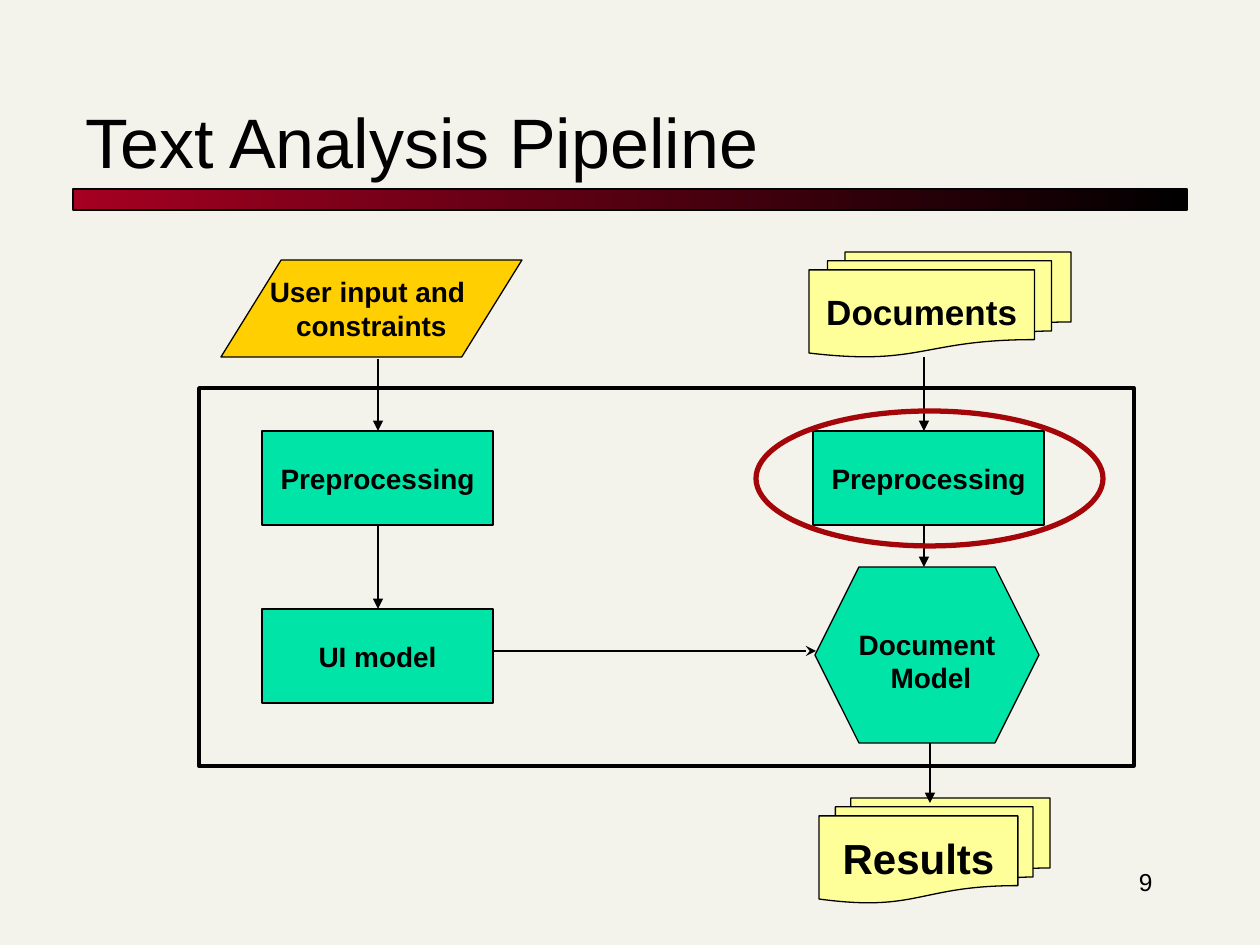
from lxml import etree
from pptx import Presentation
from pptx import util as u
from pptx.dml.color import RGBColor
from pptx.enum import shapes, text
from pptx.oxml.ns import qn

PX = u.Inches(1) / 126
BLACK, GREEN, YELLOW, GOLD, RED = "000000", "00E4A8", "FFFF99", "FFCF01", "A40508"
KIND = shapes.MSO_SHAPE
TOP, MIDDLE, BOTTOM = text.MSO_ANCHOR.TOP, text.MSO_ANCHOR.MIDDLE, text.MSO_ANCHOR.BOTTOM
LEFT, CENTER, RIGHT = text.PP_ALIGN.LEFT, text.PP_ALIGN.CENTER, text.PP_ALIGN.RIGHT

BAR = (73, 189, 1114, 21)
BAR_STOPS = ("A50021", BLACK)
STEP = (231, 94)
LEFT_COLUMN, RIGHT_COLUMN = 262, 813

# kind, (left, top, width, height), fill, lines of text, text size
STAGES = [
    (KIND.FLOWCHART_MULTIDOCUMENT, (809, 252, 262, 105), YELLOW, ["Documents"], 20),
    (KIND.FLOWCHART_DATA, (221, 260, 301, 97), GOLD, ["User input and ", "constraints"], 16),
    (KIND.FLOWCHART_MULTIDOCUMENT, (819, 798, 231, 105), YELLOW, ["Results"], 24),
    (KIND.RECTANGLE, (LEFT_COLUMN, 431, *STEP), GREEN, ["Preprocessing"], 16),
    (KIND.RECTANGLE, (RIGHT_COLUMN, 431, *STEP), GREEN, ["Preprocessing"], 16),
    (KIND.RECTANGLE, (LEFT_COLUMN, 609, *STEP), GREEN, ["UI model"], 16),
]

# start, end, arrowhead
ARROWS = [
    ((378, 525), (378, 609), "triangle"),
    ((924, 525), (924, 567), "triangle"),
    ((378, 359), (378, 431), "triangle"),
    ((924, 357), (924, 431), "triangle"),
    ((494, 651), (816, 651), "stealth"),
    ((930, 703), (930, 803), "triangle"),
]

FRAME = (199, 388, 935, 378)
HEXAGON = (815, 567, 224, 176)
HIGHLIGHT = (756, 411, 347, 135)

# (left, top, width, height), lines of text, size, bold, alignment, anchor, wrap
TITLE = ((73, 53, 1113, 136), ["Text Analysis Pipeline"], 40, False, LEFT, BOTTOM, True)
NUMBER = ((903, 861, 262, 63), ["9"], 14, False, RIGHT, TOP, True)
MODEL = ((842, 621, 170, 81), ["Document", " Model"], 16, True, CENTER, TOP, False)


def emu(values):
    return [round(value * PX) for value in values]


def color(code):
    return RGBColor.from_string(code)


def apply(target, values):
    for name, value in values.items():
        setattr(target, name, value)


def write(shape, lines, size, bold, align, anchor, wrap):
    frame = shape.text_frame
    apply(frame, dict(word_wrap=wrap, vertical_anchor=anchor))
    frame.text = "\n".join(lines)
    for para in frame.paragraphs:
        para.alignment = align
        apply(para.font, dict(name="Arial", size=u.Pt(size), bold=bold))
        para.font.color.rgb = color(BLACK)


def add_label(page, place, *style):
    write(page.shapes.add_textbox(*emu(place)), *style)


def add_outline(page, kind, place, fill=None, line=BLACK, weight=0.75):
    shape = page.shapes.add_shape(kind, *emu(place))
    shape.shadow.inherit = False
    if fill:
        shape.fill.solid()
        shape.fill.fore_color.rgb = color(fill)
    else:
        shape.fill.background()
    shape.line.color.rgb = color(line)
    shape.line.width = u.Pt(weight)
    return shape


def add_bar(page):
    bar = add_outline(page, KIND.RECTANGLE, BAR)
    bar.fill.gradient()
    bar.fill.gradient_angle = 0
    for position, (stop, code) in enumerate(zip(bar.fill.gradient_stops, BAR_STOPS)):
        stop.color.rgb = color(code)
        stop.position = position


def add_arrow(page, start, end, head):
    arrow = page.shapes.add_connector(shapes.MSO_CONNECTOR.STRAIGHT, *emu(start + end))
    arrow.line.color.rgb = color(BLACK)
    arrow.line.width = u.Pt(0.75)
    etree.SubElement(arrow.line._get_or_add_ln(), qn("a:tailEnd"), type=head)
    etree.SubElement(arrow._element.spPr, qn("a:effectLst"))


def main():
    deck = Presentation()
    deck.slide_width, deck.slide_height = u.Inches(10), u.Inches(7.5)
    page = deck.slides.add_slide(deck.slide_layouts[6])
    page.background.fill.solid()
    page.background.fill.fore_color.rgb = color("F4F3EB")

    add_bar(page)
    add_label(page, *TITLE)
    add_label(page, *NUMBER)
    for kind, place, fill, lines, size in STAGES:
        stage = add_outline(page, kind, place, fill)
        write(stage, lines, size, True, CENTER, MIDDLE, False)
    for arrow in ARROWS:
        add_arrow(page, *arrow)
    add_outline(page, KIND.RECTANGLE, FRAME, weight=2)
    hexagon = add_outline(page, KIND.HEXAGON, HEXAGON, GREEN)
    hexagon.adjustments[0] = 0.25
    add_label(page, *MODEL)
    add_outline(page, KIND.OVAL, HIGHLIGHT, line=RED, weight=3)
    deck.save("out.pptx")


if __name__ == "__main__":
    main()
